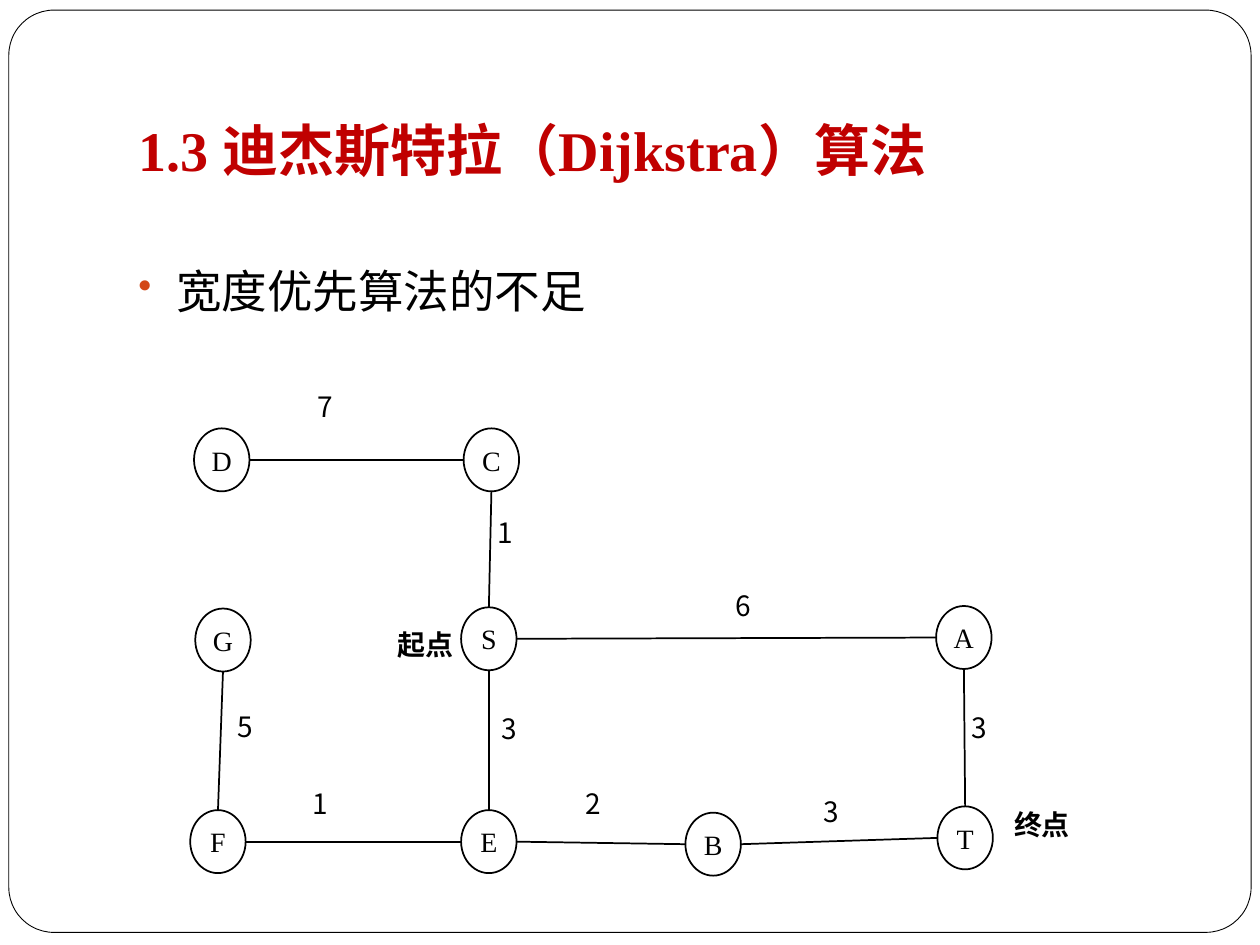
from dataclasses import dataclass

from lxml.etree import SubElement
from pptx import Presentation
from pptx.dml.color import RGBColor
from pptx.enum.shapes import MSO_CONNECTOR, MSO_SHAPE
from pptx.enum.text import MSO_ANCHOR, PP_ALIGN
from pptx.oxml.ns import qn
from pptx.util import Pt


@dataclass(frozen=True)
class Theme:
    """Colours, fonts and type sizes of the slide."""
    ink: RGBColor = RGBColor(0, 0, 0)
    paper: RGBColor = RGBColor(255, 255, 255)
    title: RGBColor = RGBColor(0xC0, 0, 0)
    bullet: str = "D34817"
    serif: str = "Times New Roman"
    sans: str = "Noto Sans CJK SC"
    title_size: int = 32
    body_size: int = 26
    graph_size: int = 16
    frame_width: float = 0.5
    line_width: float = 1


THEME = Theme()
SCALE = 9144
NODE_WIDTH, NODE_HEIGHT = 44, 50
NODES = {
    "D": (54, 40), "C": (268, 40),
    "G": (55, 183), "S": (266, 182), "A": (643, 181),
    "F": (51, 343), "E": (266, 343), "B": (444, 345), "T": (644, 340),
}
EDGES = [
    ("D", "C", "7", (142, 4)), ("C", "S", "1", (285, 104)),
    ("S", "A", "6", (474, 162)), ("G", "F", "5", (79, 258)),
    ("S", "E", "3", (288, 260)), ("A", "T", "3", (661, 259)),
    ("F", "E", "1", (138, 319)), ("E", "B", "2", (355, 319)),
    ("B", "T", "3", (544, 326)),
]
ENDPOINTS = [("起点", (206, 193)), ("终点", (695, 336))]


def px(*lengths):
    """Turn px lengths into EMU."""
    return [length * SCALE for length in lengths]


def style_font(paragraph, name, size, color, bold=False):
    """Set the font of a whole paragraph."""
    font = paragraph.font
    font.name, font.size, font.bold = name, Pt(size), bold
    font.color.rgb = color


def add_text(slide, box, text, size, color, bold=False, anchor=MSO_ANCHOR.TOP):
    """Add a wrapped serif text box and return its paragraph."""
    frame = slide.shapes.add_textbox(*px(*box)).text_frame
    frame.word_wrap = True
    frame.vertical_anchor = anchor
    paragraph = frame.paragraphs[0]
    paragraph.text = text
    return frame, paragraph


def add_frame(slide, box):
    """Draw the thin rounded border of the slide."""
    shape = slide.shapes.add_shape(MSO_SHAPE.ROUNDED_RECTANGLE, *px(*box))
    shape.adjustments[0] = 0.049
    shape.shadow.inherit = False
    shape.fill.solid()
    shape.fill.fore_color.rgb = THEME.paper
    shape.line.color.rgb = THEME.ink
    shape.line.width = Pt(THEME.frame_width)


def add_textbox(slide, box, text, anchor):
    """Add a wrapped text box and return its frame."""
    frame = slide.shapes.add_textbox(*px(*box)).text_frame
    frame.word_wrap = True
    frame.vertical_anchor = anchor
    frame.text = text
    return frame


def add_title(slide, box, text):
    """Write the slide title at the bottom of its box."""
    frame = add_textbox(slide, box, text, MSO_ANCHOR.BOTTOM)
    frame.margin_bottom, = px(10)
    style_font(frame.paragraphs[0], THEME.serif, THEME.title_size, THEME.title, True)


def add_bullet(slide, box, text):
    """Write the bulleted statement."""
    paragraph = add_textbox(slide, box, text, MSO_ANCHOR.TOP).paragraphs[0]
    properties = paragraph._p.get_or_add_pPr()
    indent, = px(30)
    properties.set("marL", str(indent))
    properties.set("indent", str(-indent))
    color = SubElement(properties, qn("a:buClr"))
    SubElement(color, qn("a:srgbClr"), val=THEME.bullet)
    SubElement(properties, qn("a:buSzPct"), val="85000")
    SubElement(properties, qn("a:buChar"), char="•")
    style_font(paragraph, THEME.serif, THEME.body_size, THEME.ink)


def add_label(slide, box, text, bold=False):
    """Write a weight or endpoint name on a white patch."""
    frame = add_textbox(slide, box, text, MSO_ANCHOR.TOP)
    patch = slide.shapes[-1]
    patch.fill.solid()
    patch.fill.fore_color.rgb = THEME.paper
    style_font(frame.paragraphs[0], THEME.sans, THEME.graph_size, THEME.ink, bold)


def add_node(slide, box, name):
    """Draw a named graph node."""
    shape = slide.shapes.add_shape(MSO_SHAPE.OVAL, *px(*box))
    shape.shadow.inherit = False
    shape.fill.background()
    shape.line.color.rgb = THEME.ink
    shape.line.width = Pt(THEME.line_width)
    frame = shape.text_frame
    frame.margin_left = frame.margin_right = frame.margin_top = frame.margin_bottom = 0
    frame.vertical_anchor = MSO_ANCHOR.MIDDLE
    frame.text = name
    paragraph = frame.paragraphs[0]
    paragraph.alignment = PP_ALIGN.CENTER
    style_font(paragraph, THEME.serif, THEME.graph_size, THEME.ink)


def add_edge(slide, start, end):
    """Join the facing sides of two nodes, given their top left corners."""
    across, down = NODE_WIDTH // 2, NODE_HEIGHT // 2
    (x1, y1), (x2, y2) = start, end
    if x2 - x1 > NODE_WIDTH:
        points = x1 + NODE_WIDTH, y1 + down, x2, y2 + down
    else:
        points = x1 + across, y1 + NODE_HEIGHT, x2 + across, y2
    connector = slide.shapes.add_connector(MSO_CONNECTOR.STRAIGHT, *px(*points))
    connector.line.color.rgb = THEME.ink
    connector.line.width = Pt(THEME.line_width)
    SubElement(connector._element.spPr, qn("a:effectLst"))


def add_graph(slide, left, top):
    """Draw the weighted graph from its top left corner."""
    corners = {name: (left + x, top + y) for name, (x, y) in NODES.items()}
    for _, _, weight, (x, y) in EDGES:
        add_label(slide, (left + x, top + y, 48, 53), weight)
    for text, (x, y) in ENDPOINTS:
        add_label(slide, (left + x, top + y, 86, 53), text, True)
    for start, end, _, _ in EDGES:
        add_edge(slide, corners[start], corners[end])
    for name, corner in corners.items():
        add_node(slide, (*corner, NODE_WIDTH, NODE_HEIGHT), name)


def main():
    """Build the slide and save it."""
    presentation = Presentation()
    presentation.slide_width, presentation.slide_height = px(1000, 750)
    slide = presentation.slides.add_slide(presentation.slide_layouts[6])
    add_frame(slide, (7, 8, 986, 732))
    add_title(slide, (100, 30, 850, 125), "1.3 迪杰斯特拉（Dijkstra）算法")
    add_bullet(slide, (100, 204, 850, 80), "宽度优先算法的不足")
    add_graph(slide, 100, 300)
    main_graph_saved = "out.pptx"
    presentation.save("out.pptx")


if __name__ == "__main__":
    main()
